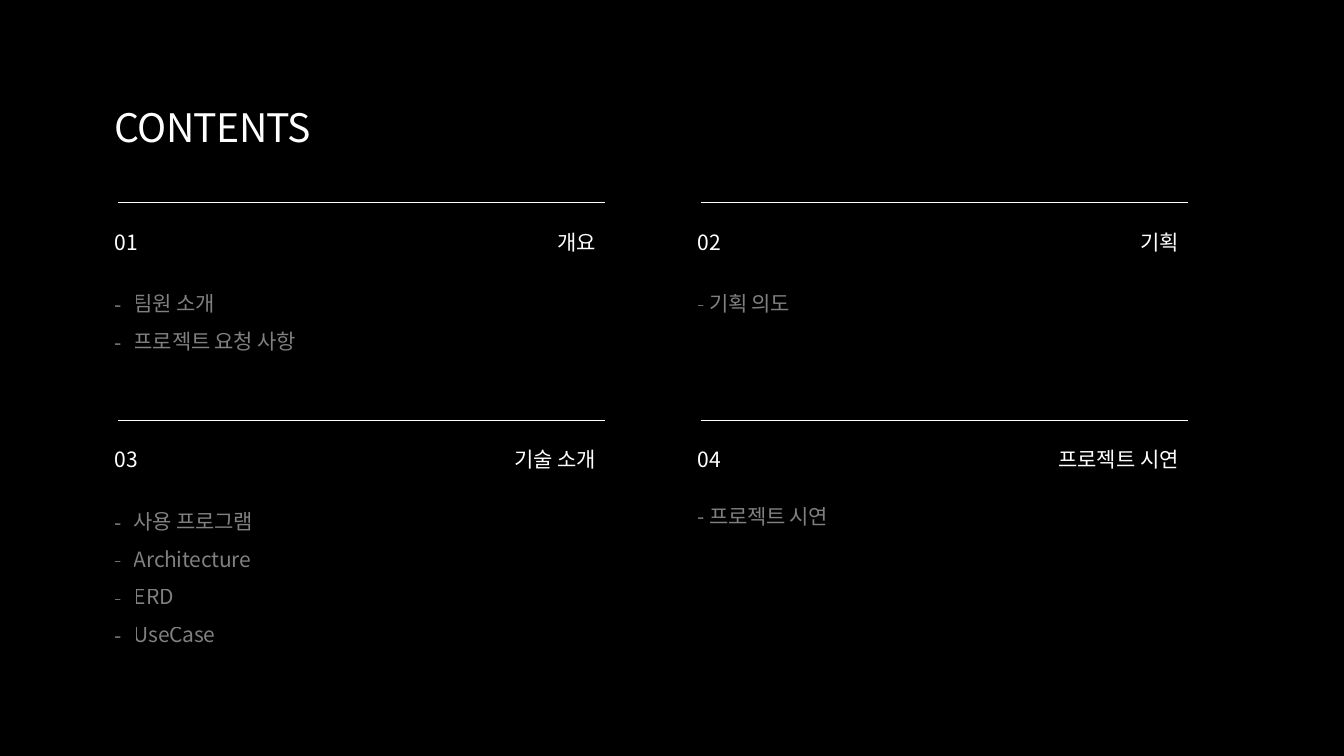
from dataclasses import dataclass

from lxml.etree import SubElement
from pptx import Presentation
from pptx.dml.color import RGBColor
from pptx.enum.shapes import MSO_CONNECTOR
from pptx.enum.text import MSO_ANCHOR, MSO_AUTO_SIZE, PP_ALIGN
from pptx.oxml.ns import qn
from pptx.shapes.autoshape import Shape
from pptx.slide import Slide
from pptx.util import Inches, Pt

BLACK = RGBColor(0x00, 0x00, 0x00)
WHITE = RGBColor(0xFF, 0xFF, 0xFF)
FONT_NAME = "Noto Sans CJK KR"

# Grid of two columns and two rows; each section starts at its rule
COLUMN_LEFT, COLUMN_PITCH = 1.04, 5.78
ROW_TOP, ROW_PITCH = 2.01, 2.16
LINE_HEIGHT = 0.38


@dataclass(frozen=True)
class TextStyle:
    size: float = 15
    alignment: PP_ALIGN = PP_ALIGN.LEFT
    line_spacing: float = 1.5
    tracking: float = 0
    opacity: int = 100
    bulleted: bool = False


@dataclass(frozen=True)
class Section:
    heading: str
    items: tuple[str, ...]
    bulleted: bool = False
    items_offset: float = 0.7


TITLE = TextStyle(size=28, line_spacing=1.0, tracking=-0.5)
NUMBER = TextStyle()
HEADING = TextStyle(alignment=PP_ALIGN.RIGHT)

SECTIONS = (
    Section("개요", ("팀원 소개", "프로젝트 요청 사항"), bulleted=True),
    Section("기획", ("- 기획 의도",)),
    Section("기술 소개", ("사용 프로그램", "Architecture", "ERD", "UseCase"), bulleted=True),
    Section("프로젝트 시연", ("- 프로젝트 시연",), items_offset=0.65),
)


def write_text(shape: Shape, lines: tuple[str, ...], style: TextStyle) -> None:
    frame = shape.text_frame
    frame_format = {
        "word_wrap": True,
        "auto_size": MSO_AUTO_SIZE.SHAPE_TO_FIT_TEXT,
        "vertical_anchor": MSO_ANCHOR.TOP,
    }
    for name, value in frame_format.items():
        setattr(frame, name, value)

    for index, line in enumerate(lines):
        paragraph = frame.paragraphs[0] if index == 0 else frame.add_paragraph()
        if style.bulleted:
            properties = paragraph._p.get_or_add_pPr()
            properties.set("marL", str(Inches(0.19)))
            properties.set("indent", str(-Inches(0.19)))
            SubElement(properties, qn("a:buFont"), typeface=FONT_NAME)
            SubElement(properties, qn("a:buChar"), char="-")
        paragraph.alignment = style.alignment
        paragraph.line_spacing = style.line_spacing

        run = paragraph.add_run()
        run.text = line
        for name, value in {"name": FONT_NAME, "size": Pt(style.size)}.items():
            setattr(run.font, name, value)
        run.font.color.rgb = WHITE

        # East Asian typeface, tracking and transparency
        run_properties = run._r.get_or_add_rPr()
        SubElement(run_properties, qn("a:ea"), typeface=FONT_NAME)
        if style.tracking:
            run_properties.set("spc", str(round(style.tracking * 100)))
        if style.opacity < 100:
            color = run_properties.find(f"{qn('a:solidFill')}/{qn('a:srgbClr')}")
            SubElement(color, qn("a:alpha"), val=str(style.opacity * 1000))


def add_text(slide: Slide, left: float, top: float, width: float,
             lines: tuple[str, ...], style: TextStyle) -> None:
    height = 0.06 + LINE_HEIGHT * len(lines)
    box = slide.shapes.add_textbox(Inches(left), Inches(top), Inches(width), Inches(height))
    write_text(box, lines, style)


def add_rule(slide: Slide, left: float, top: float, width: float) -> None:
    rule = slide.shapes.add_connector(
        MSO_CONNECTOR.STRAIGHT, Inches(left), Inches(top), Inches(left + width), Inches(top))
    rule.line.color.rgb = WHITE
    rule.line.width = Pt(0.75)
    SubElement(rule._element.spPr, qn("a:effectLst"))


def add_section(slide: Slide, index: int, section: Section) -> None:
    row, column = divmod(index, 2)
    left = COLUMN_LEFT + column * COLUMN_PITCH
    top = ROW_TOP + row * ROW_PITCH
    items_style = TextStyle(tracking=-0.2, opacity=50, bulleted=section.bulleted)

    add_rule(slide, left + 0.13, top, 4.83)
    add_text(slide, left, top + 0.09, 0.84, (f"{index + 1:02d}",), NUMBER)
    add_text(slide, left + 0.92, top + 0.09, 4.05, (section.heading,), HEADING)
    add_text(slide, left, top + section.items_offset, 5.29, section.items, items_style)


def main() -> None:
    presentation = Presentation()
    presentation.slide_width = Inches(13.33)
    presentation.slide_height = Inches(7.5)
    slide = presentation.slides.add_slide(presentation.slide_layouts[5])

    # Background
    slide.background.fill.solid()
    slide.background.fill.fore_color.rgb = BLACK

    # Title
    title = slide.shapes.title
    title_place = {"left": 1.04, "top": 0.97, "width": 3.39, "height": 0.57}
    for name, value in title_place.items():
        setattr(title, name, Inches(value))
    write_text(title, ("CONTENTS",), TITLE)

    # Sections
    for index, section in enumerate(SECTIONS):
        add_section(slide, index, section)

    presentation.save("out.pptx")


if __name__ == "__main__":
    main()
